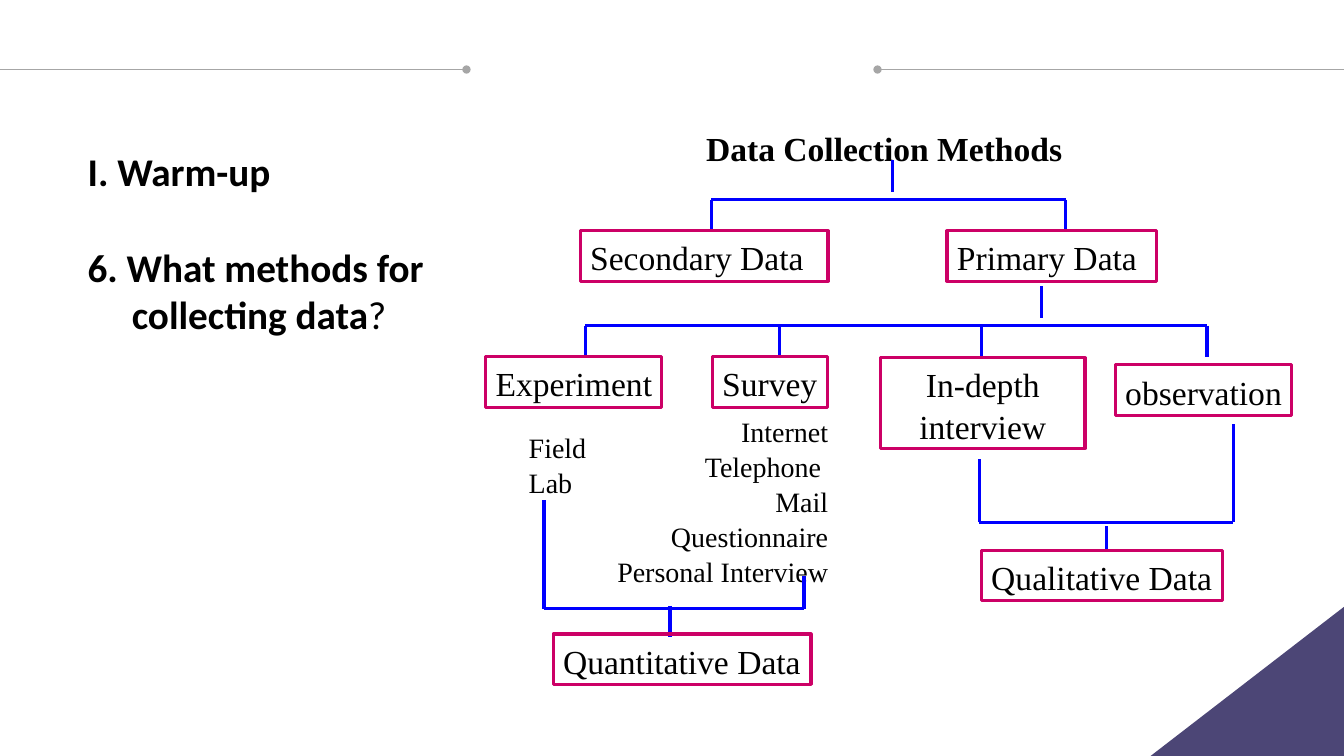
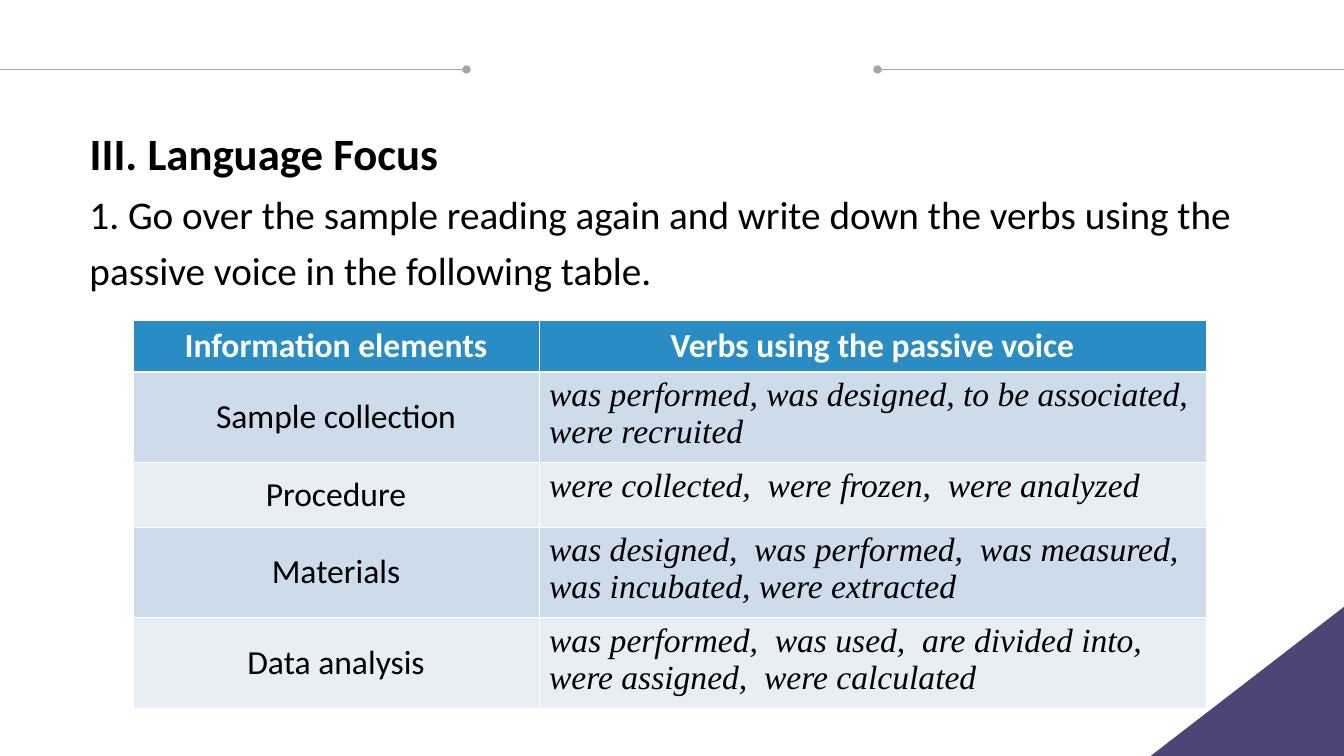
"""Build two lesson slides: a data collection tree and a passive voice table."""
from dataclasses import dataclass

from lxml.etree import SubElement
from pptx import Presentation
from pptx.dml.color import RGBColor
from pptx.enum.shapes import MSO_CONNECTOR, MSO_SHAPE
from pptx.enum.text import MSO_ANCHOR, MSO_AUTO_SIZE, PP_ALIGN
from pptx.oxml import parse_xml
from pptx.oxml.ns import nsdecls, qn
from pptx.shapes.connector import Connector
from pptx.slide import Slide
from pptx.table import _Cell
from pptx.text.text import TextFrame, _Paragraph
from pptx.util import Inches, Pt

COLORS = {
    "text": "000000",
    "white": "FFFFFF",
    "rule": "A6A6A6",
    "corner": "4C4676",
    "branch": "0000FF",
    "node": "CC0066",
    "header": "298CC5",
    "odd_row": "CDDBEA",
    "even_row": "E8EEF5",
}
SANS = "Calibri"
SERIF = "Times New Roman"
SLIDE_WIDTH, SLIDE_HEIGHT = 13.34, 7.5
RULE_TOP = 0.69
TREE_SPACING = 1.04


@dataclass(frozen=True)
class Box:
    left: float
    top: float
    width: float
    height: float

    def lengths(self) -> tuple[Inches, Inches, Inches, Inches]:
        return (Inches(self.left), Inches(self.top),
                Inches(self.width), Inches(self.height))


@dataclass(frozen=True)
class Node:
    label: str
    box: Box
    wrap: bool = False
    align: PP_ALIGN = PP_ALIGN.LEFT


@dataclass(frozen=True)
class Label:
    lines: tuple[str, ...]
    box: Box
    size: int = 20
    bold: bool = False
    wrap: bool = False
    align: PP_ALIGN = PP_ALIGN.LEFT


@dataclass(frozen=True)
class Bracket:
    bar_top: float
    stem: tuple[float, float, float]
    legs: tuple[tuple[float, float], ...]


NODES = (
    Node("Secondary Data", Box(5.76, 2.29, 2.46, 0.5), wrap=True),
    Node("Primary Data", Box(9.4, 2.29, 2.08, 0.5), wrap=True),
    Node("Experiment", Box(4.82, 3.54, 1.75, 0.5)),
    Node("Survey", Box(7.07, 3.54, 1.14, 0.5)),
    Node("In-depth interview", Box(8.74, 3.55, 2.03, 0.9), True, PP_ALIGN.CENTER),
    Node("observation", Box(11.07, 3.62, 1.75, 0.5)),
    Node("Quantitative Data", Box(5.49, 6.29, 2.56, 0.5)),
    Node("Qualitative Data", Box(9.74, 5.46, 2.39, 0.5)),
)
LABELS = (
    Label(("Data Collection Methods",), Box(6.91, 1.2, 3.73, 0.5), 24, True),
    Label(("Field", "Lab"), Box(5.15, 4.21, 0.77, 0.77)),
    Label(("Internet", "Telephone ", "Mail", "Questionnaire", "Personal Interview"),
          Box(5.51, 4.05, 2.81, 1.77), wrap=True, align=PP_ALIGN.RIGHT),
)
BRACKETS = (
    Bracket(1.98, (8.86, 1.59, 1.9), ((7.06, 2.29), (10.58, 2.29))),
    Bracket(3.23, (10.34, 2.84, 3.15),
            ((5.81, 3.54), (7.74, 3.54), (9.74, 3.54), (11.98, 3.54))),
    Bracket(6.04, (6.65, 6.01, 6.32), ((5.4, 4.96), (7.98, 5.71))),
    Bracket(5.18, (10.98, 5.22, 5.47), ((9.72, 4.55), (12.24, 4.21))),
)
VERB_ROWS = (
    ("Information elements", "Verbs using the passive voice"),
    ("Sample collection", "was performed, was designed, to be associated, were recruited"),
    ("Procedure", "were collected,  were frozen,  were analyzed"),
    ("Materials", "was designed,  was performed,  was measured, was incubated, were extracted"),
    ("Data analysis", "was performed,  was used,  are divided into, were assigned,  were calculated"),
)
COLUMN_WIDTHS = (4.03, 6.62)
ROW_HEIGHTS = (0.5, 0.9, 0.64, 0.9, 0.9)


def rgb(name: str) -> RGBColor:
    return RGBColor.from_string(COLORS[name])


def style(paragraph: _Paragraph, size: int, face: str, color: str = "text",
          bold: bool = False, italic: bool = False,
          align: PP_ALIGN = PP_ALIGN.LEFT) -> None:
    font = paragraph.font
    font.size, font.name = Pt(size), face
    font.bold, font.italic = bold, italic
    font.color.rgb = rgb(color)
    paragraph.alignment = align


def prepare(frame: TextFrame, wrap: bool = True) -> None:
    frame.word_wrap = wrap
    frame.auto_size = MSO_AUTO_SIZE.NONE
    frame.vertical_anchor = MSO_ANCHOR.TOP


def add_line(slide: Slide, start: tuple[float, float], end: tuple[float, float],
             color: str = "branch", width: float = 2.25) -> Connector:
    line = slide.shapes.add_connector(
        MSO_CONNECTOR.STRAIGHT, *(Inches(value) for value in (*start, *end)))
    line.line.color.rgb = rgb(color)
    line.line.width = Pt(width)
    SubElement(line._element.spPr, qn("a:effectLst"))
    return line


def add_frame(slide: Slide) -> None:
    for inner, outer in ((4.63, 0), (8.71, SLIDE_WIDTH)):
        rule = add_line(slide, (inner, RULE_TOP), (outer, RULE_TOP), "rule", 0.5)
        SubElement(rule.line._get_or_add_ln(), qn("a:headEnd"), type="oval")
    outline = slide.shapes.build_freeform(Inches(SLIDE_WIDTH), Inches(6.02))
    outline.add_line_segments([
        (Inches(SLIDE_WIDTH), Inches(SLIDE_HEIGHT)),
        (Inches(11.42), Inches(SLIDE_HEIGHT)),
    ])
    corner = outline.convert_to_shape()
    corner.shadow.inherit = False
    corner.fill.solid()
    corner.fill.fore_color.rgb = rgb("corner")
    corner.line.fill.background()


def add_slide(deck: Presentation, heading: str, box: Box, size: int) -> Slide:
    slide = deck.slides.add_slide(deck.slide_layouts[5])
    title = slide.shapes.title
    title.left, title.top, title.width, title.height = box.lengths()
    title.text_frame.text = heading
    prepare(title.text_frame)
    style(title.text_frame.paragraphs[0], size, SANS, bold=True)
    add_frame(slide)
    return slide


def add_label(slide: Slide, label: Label) -> None:
    frame = slide.shapes.add_textbox(*label.box.lengths()).text_frame
    frame.text = "\n".join(label.lines)
    prepare(frame, label.wrap)
    for paragraph in frame.paragraphs:
        style(paragraph, label.size, SERIF, bold=label.bold, align=label.align)
        paragraph.line_spacing = TREE_SPACING


def add_node(slide: Slide, node: Node) -> None:
    shape = slide.shapes.add_shape(MSO_SHAPE.RECTANGLE, *node.box.lengths())
    shape.shadow.inherit = False
    shape.fill.background()
    shape.line.color.rgb = rgb("node")
    shape.line.width = Pt(2.25)
    shape.text_frame.text = node.label
    prepare(shape.text_frame, node.wrap)
    paragraph = shape.text_frame.paragraphs[0]
    style(paragraph, 24, SERIF, align=node.align)
    paragraph.line_spacing = TREE_SPACING


def add_bracket(slide: Slide, bracket: Bracket) -> None:
    bar = bracket.bar_top
    stem_x, stem_top, stem_bottom = bracket.stem
    add_line(slide, (stem_x, stem_top), (stem_x, stem_bottom))
    add_line(slide, (bracket.legs[0][0], bar), (bracket.legs[-1][0], bar))
    for leg_x, leg_end in bracket.legs:
        add_line(slide, (leg_x, bar), (leg_x, leg_end))


def add_question(slide: Slide) -> None:
    frame = slide.shapes.add_textbox(*Box(0.77, 2.36, 4.09, 1.1).lengths()).text_frame
    prepare(frame)
    question = frame.paragraphs[0]
    style(question, 28, SANS)
    for words, bold in (("6. What methods for collecting data", True), ("?", False)):
        run = question.add_run()
        run.text = words
        run.font.bold = bold
    hanging = question._p.get_or_add_pPr()
    hanging.set("marL", str(Inches(0.44)))
    hanging.set("indent", str(-Inches(0.44)))


def add_task(slide: Slide) -> None:
    frame = slide.shapes.add_textbox(*Box(0.79, 1.84, 11.9, 1.12).lengths()).text_frame
    frame.text = ("1. Go over the sample reading again and write down the verbs using the\n"
                  "passive voice in the following table.")
    prepare(frame)
    for paragraph in frame.paragraphs:
        style(paragraph, 28, SANS)
        paragraph.space_before = Pt(6)


def set_borders(cell: _Cell, widths: dict[str, float]) -> None:
    properties = cell._tc.get_or_add_tcPr()
    for position, (side, width) in enumerate(widths.items()):
        properties.insert(position, parse_xml(
            f'<a:ln{side} {nsdecls("a")} w="{Pt(width)}"><a:solidFill>'
            f'<a:srgbClr val="{COLORS["white"]}"/></a:solidFill></a:ln{side}>'))


def add_verb_table(slide: Slide) -> None:
    area = Box(1.32, 3.18, sum(COLUMN_WIDTHS), sum(ROW_HEIGHTS))
    table = slide.shapes.add_table(
        len(VERB_ROWS), len(COLUMN_WIDTHS), *area.lengths()).table
    for column, width in zip(table.columns, COLUMN_WIDTHS):
        column.width = Inches(width)
    for row_index, (row, height) in enumerate(zip(table.rows, ROW_HEIGHTS)):
        row.height = Inches(height)
        is_header = row_index == 0
        fill = "header" if is_header else ("even_row", "odd_row")[row_index % 2]
        for column_index, cell in enumerate(row.cells):
            is_verbs = column_index == 1 and not is_header
            cell.text = VERB_ROWS[row_index][column_index]
            cell.fill.solid()
            cell.fill.fore_color.rgb = rgb(fill)
            cell.vertical_anchor = (MSO_ANCHOR.TOP if is_header or is_verbs
                                    else MSO_ANCHOR.MIDDLE)
            style(cell.text_frame.paragraphs[0], 24, SERIF if is_verbs else SANS,
                  "white" if is_header else "text", is_header, is_verbs,
                  PP_ALIGN.LEFT if is_verbs else PP_ALIGN.CENTER)
            set_borders(cell, {"L": 0.45, "R": 0.45,
                               "T": 1.47 if row_index == 1 else 0.45,
                               "B": 1.47 if is_header else 0.45})


def main() -> None:
    deck = Presentation()
    deck.slide_width, deck.slide_height = Inches(SLIDE_WIDTH), Inches(SLIDE_HEIGHT)

    warm_up = add_slide(deck, "I. Warm-up", Box(0.77, 1.41, 4.09, 0.57), 28)
    add_question(warm_up)
    for label in LABELS:
        add_label(warm_up, label)
    for bracket in BRACKETS:
        add_bracket(warm_up, bracket)
    for node in NODES:
        add_node(warm_up, node)

    language = add_slide(deck, "III. Language Focus", Box(0.79, 1.2, 4.2, 0.64), 32)
    add_task(language)
    add_verb_table(language)

    deck.save("out.pptx")


if __name__ == "__main__":
    main()
